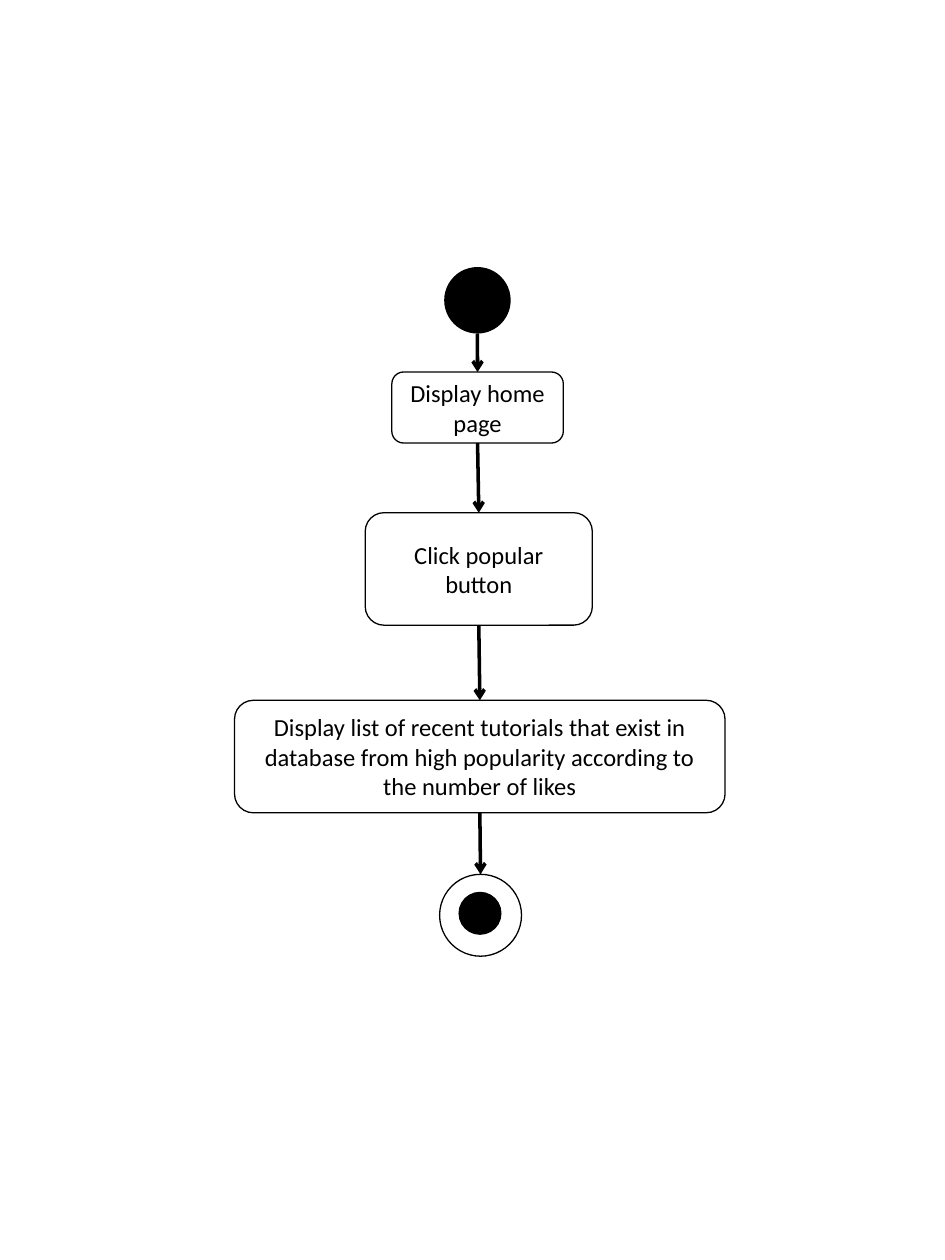
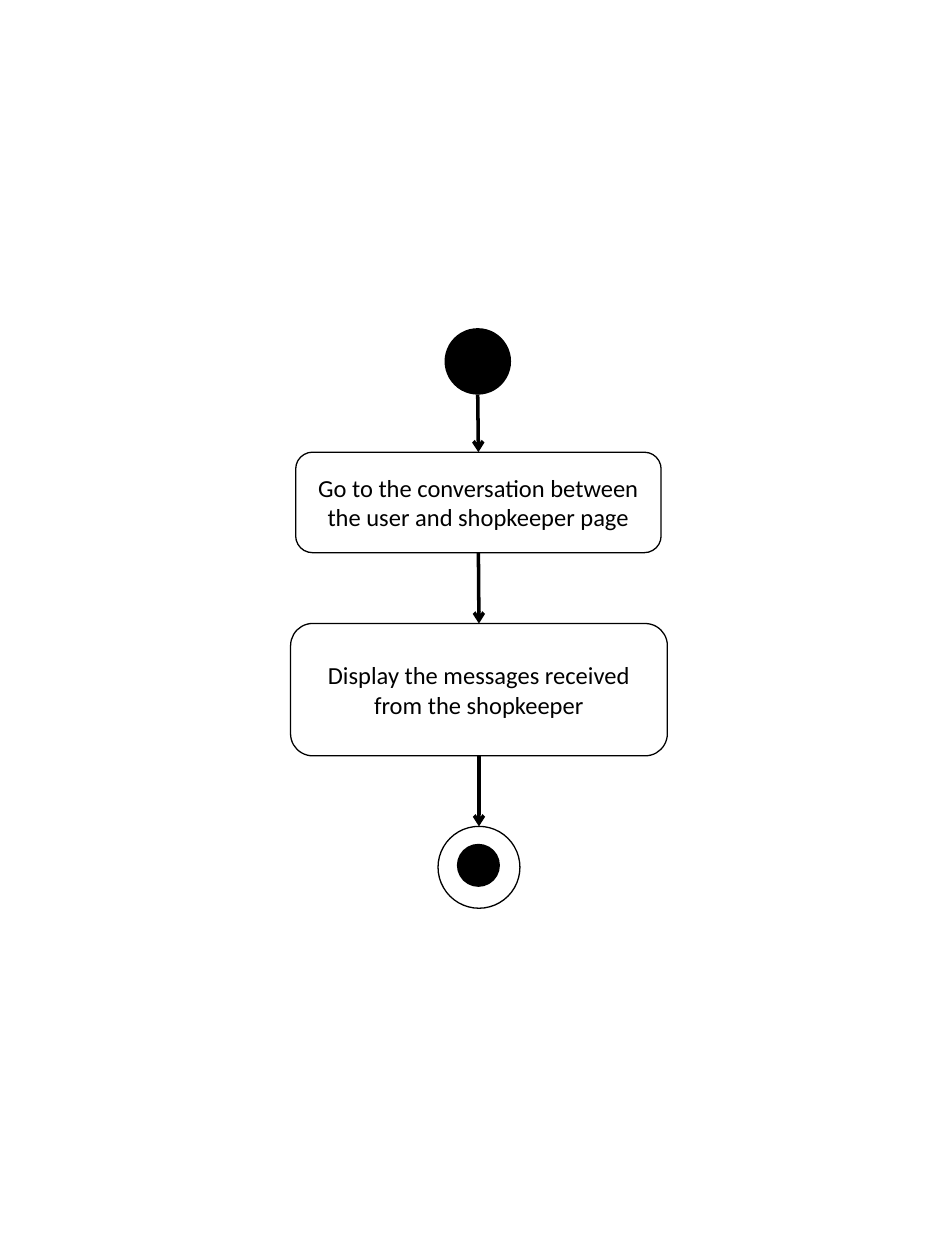
from dataclasses import dataclass
from itertools import pairwise

from lxml import etree
from pptx import Presentation
from pptx.dml.color import RGBColor
from pptx.enum.shapes import MSO_CONNECTOR, MSO_SHAPE
from pptx.enum.text import MSO_ANCHOR, PP_ALIGN
from pptx.oxml.ns import qn
from pptx.util import Pt


@dataclass(frozen=True)
class Theme:
    ink: RGBColor = RGBColor(0, 0, 0)
    paper: RGBColor = RGBColor(255, 255, 255)
    font: str = "Calibri"
    size: float = 14
    edge: float = 0.75
    flow: float = 2
    start: float = 38
    ring: float = 46.8
    dot: float = 24.6


def apply(item, values):
    for name, value in values.items():
        setattr(item, name, value)


class Chart:
    """Draws activity diagrams, one per slide."""

    def __init__(self, deck, theme):
        self.deck, self.theme = deck, theme
        self.slide = None

    def page(self):
        self.slide = self.deck.slides.add_slide(self.deck.slide_layouts[6])

    def node(self, kind, mid, top, wide, high, fill, edged=True):
        shape = self.slide.shapes.add_shape(
            kind, Pt(mid - wide / 2), Pt(top), Pt(wide), Pt(high))
        shape.shadow.inherit = False
        shape.fill.solid()
        shape.fill.fore_color.rgb = fill
        if edged:
            shape.line.color.rgb = self.theme.ink
            shape.line.width = Pt(self.theme.edge)
        else:
            shape.line.fill.background()
        return shape

    def disc(self, mid, top, size):
        return self.node(MSO_SHAPE.OVAL, mid, top, size, size,
                         self.theme.ink, edged=False)

    def final(self, mid, top):
        look = self.theme
        ring = self.node(MSO_SHAPE.OVAL, mid, top, look.ring, look.ring, look.paper)
        self.disc(mid - 0.3, top + 10, look.dot)
        return ring

    def step(self, text, mid, top, wide, high):
        look = self.theme
        shape = self.node(MSO_SHAPE.ROUNDED_RECTANGLE, mid, top, wide, high, look.paper)
        frame = shape.text_frame
        apply(frame, {"text": text, "word_wrap": True,
                      "vertical_anchor": MSO_ANCHOR.MIDDLE})
        para = frame.paragraphs[0]
        para.alignment = PP_ALIGN.CENTER
        font = para.runs[0].font
        apply(font, {"name": look.font, "size": Pt(look.size)})
        font.color.rgb = look.ink
        return shape

    def arrow(self, upper, lower):
        """Join the bottom of one node to the top of the next."""
        link = self.slide.shapes.add_connector(
            MSO_CONNECTOR.STRAIGHT,
            upper.left + upper.width // 2, upper.top + upper.height,
            lower.left + lower.width // 2, lower.top)
        link.line.color.rgb = self.theme.ink
        link.line.width = Pt(self.theme.flow)
        etree.SubElement(link.line._get_or_add_ln(), qn("a:tailEnd"), type="arrow")
        etree.SubElement(link._element.spPr, qn("a:effectLst"))

    def draw(self, start, steps, end):
        self.page()
        nodes = [self.disc(*start, self.theme.start)]
        nodes += [self.step(*step) for step in steps]
        nodes.append(self.final(*end))
        for upper, lower in pairwise(nodes):
            self.arrow(upper, lower)


# Start and end: centre x, top. Steps: text, centre x, top, width, height.
FLOWS = [
    ((272.8, 152.6), [
        ("Display home page", 272.9, 212.6, 98, 40.6),
        ("Click popular button", 273.6, 293, 129.8, 64.3),
        ("Display list of recent tutorials that exist in database from high "
         "popularity according to the number of likes", 274.2, 400.2, 280.3, 64.3),
    ], (274.6, 499.6)),
    ((273, 187.5), [
        ("Go to the conversation between the user and shopkeeper page",
         273.4, 258.4, 208.8, 57.4),
        ("Display the messages received from the shopkeeper",
         273.7, 356.3, 215.3, 75.6),
    ], (273.7, 472.2)),
]


def main():
    deck = Presentation()
    apply(deck, {"slide_width": Pt(540), "slide_height": Pt(720)})
    chart = Chart(deck, Theme())
    for flow in FLOWS:
        chart.draw(*flow)
    deck.save("out.pptx")


if __name__ == "__main__":
    main()
